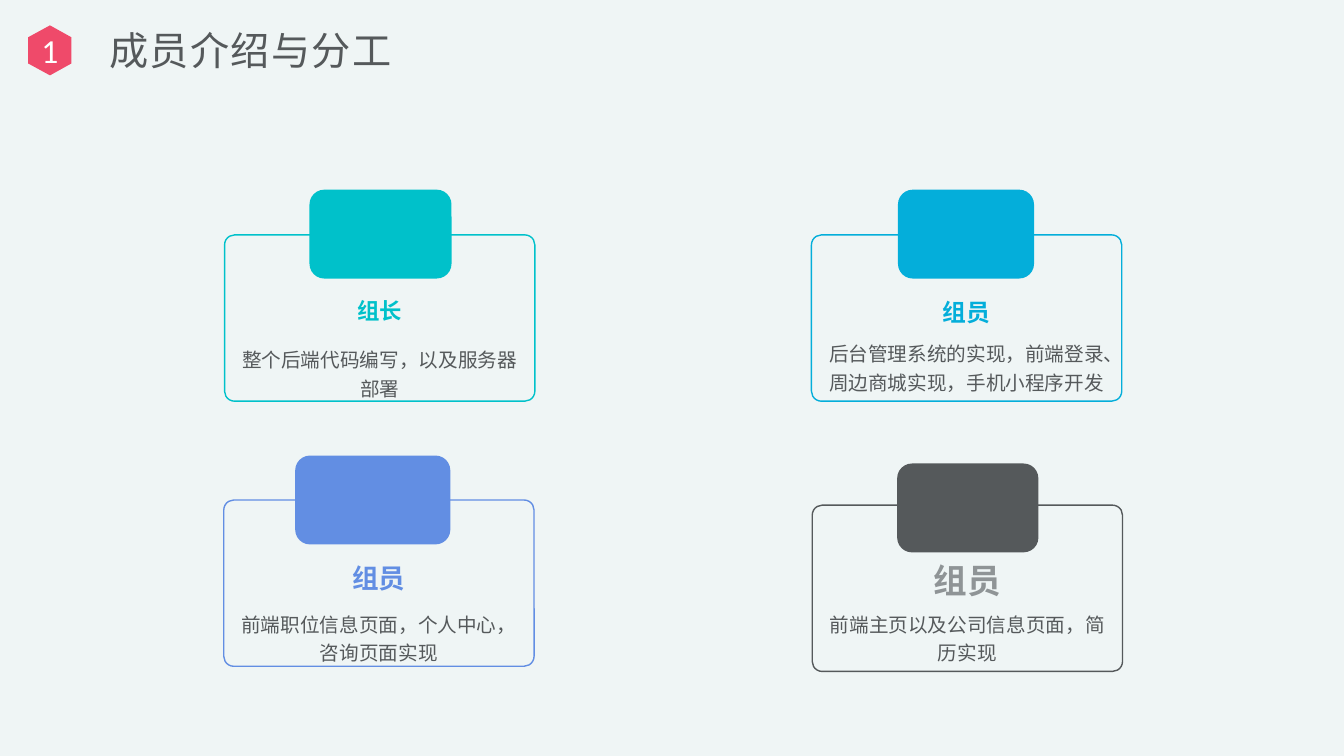
import pptx
import pptx.util
import pptx.dml.color
import pptx.enum.shapes
import pptx.enum.text
import pptx.oxml.ns
from lxml import etree

Cm = pptx.util.Cm
Pt = pptx.util.Pt
SHAPE = pptx.enum.shapes.MSO_SHAPE
ALIGN = pptx.enum.text.PP_ALIGN
ANCHOR = pptx.enum.text.MSO_ANCHOR

COLORS = {
    "page": "EFF5F5", "text": "55595B", "badge": "EF4A6A", "white": "FFFFFF",
    "teal": "00C1CA", "cyan": "04AEDA", "blue": "628EE3", "gray": "8F9496",
}
TITLE = "成员介绍与分工"
SECTION = "1"
MEMBERS = [
    {"role": "组长", "duty": "整个后端代码编写，以及服务器部署",
     "color": "teal", "role_color": "teal", "role_size": 16,
     "frame": (5.66, 5.92), "tab": (7.8, 4.78, 3.58), "role_top": 7.49, "duty_top": 8.66},
    {"role": "组员", "duty": "后台管理系统的实现，前端登录、周边商城实现，手机小程序开发",
     "color": "cyan", "role_color": "cyan", "role_size": 17,
     "frame": (20.45, 5.92), "tab": (22.63, 4.78, 3.43), "role_top": 7.49, "duty_top": 8.51},
    {"role": "组员", "duty": "前端职位信息页面，个人中心，咨询页面实现",
     "color": "blue", "role_color": "blue", "role_size": 19,
     "frame": (5.64, 12.6), "tab": (7.44, 11.48, 3.91), "role_top": 14.15, "duty_top": 15.32},
    {"role": "组员", "duty": "前端主页以及公司信息页面，简历实现",
     "color": "text", "role_color": "gray", "role_size": 24,
     "frame": (20.47, 12.73), "tab": (22.61, 11.68, 3.56), "role_top": 14.12, "duty_top": 15.32},
]
FRAME_WIDTH, FRAME_HEIGHT = 7.82, 4.19
TAB_HEIGHT = 2.24
TEXT_INSET = 0.35
TEXT_WIDTH = FRAME_WIDTH - 2 * TEXT_INSET
ROLE_HEIGHT, DUTY_HEIGHT = 0.69, 1.45
BADGE = [(1.26, 0.64), (1.8, 0.94), (1.8, 1.6), (1.26, 1.9), (0.71, 1.6), (0.71, 0.94)]


def rgb(name):
    return pptx.dml.color.RGBColor.from_string(COLORS[name])


def paint(shape, fill=None, line=None):
    shape.shadow.inherit = False
    if fill:
        shape.fill.solid()
        shape.fill.fore_color.rgb = rgb(fill)
    else:
        shape.fill.background()
    if line:
        shape.line.color.rgb = rgb(line)
        shape.line.width = Pt(1)
    else:
        shape.line.fill.background()


def write(shape, text, size, color, margins=(0, 0, 0, 0), font="Calibri",
          bold=False, align=ALIGN.CENTER, anchor=ANCHOR.TOP, spacing=None, wrap=True):
    frame = shape.text_frame
    frame.auto_size = pptx.enum.text.MSO_AUTO_SIZE.NONE
    frame.word_wrap = wrap
    frame.vertical_anchor = anchor
    frame.margin_left, frame.margin_top, frame.margin_right, frame.margin_bottom = map(Cm, margins)
    para = frame.paragraphs[0]
    para.text = text
    para.alignment = align
    para.line_spacing = spacing
    para.font.size = Pt(size)
    para.font.bold = bold
    para.font.name = font
    para.font.color.rgb = rgb(color)
    return para.runs[0]


def add_text(page, left, top, height, *words, **style):
    box = page.shapes.add_textbox(Cm(left), Cm(top), Cm(TEXT_WIDTH), Cm(height))
    write(box, *words, **style)


def add_member(page, member):
    left, top = member["frame"]
    frame = page.shapes.add_shape(SHAPE.ROUNDED_RECTANGLE, Cm(left), Cm(top),
                                  Cm(FRAME_WIDTH), Cm(FRAME_HEIGHT))
    frame.adjustments[0] = 0.06
    paint(frame, line=member["color"])
    tab_left, tab_top, tab_width = member["tab"]
    tab = page.shapes.add_shape(SHAPE.ROUNDED_RECTANGLE, Cm(tab_left), Cm(tab_top),
                                Cm(tab_width), Cm(TAB_HEIGHT))
    paint(tab, fill=member["color"])
    text_left = left + TEXT_INSET
    add_text(page, text_left, member["role_top"], ROLE_HEIGHT, member["role"],
             member["role_size"], member["role_color"], bold=True, wrap=False)
    add_text(page, text_left, member["duty_top"], DUTY_HEIGHT, member["duty"],
             14, "text", spacing=1.2)


def add_title(page):
    title = page.shapes.title
    title.left, title.top, title.width, title.height = map(Cm, (2.24, 0.51, 15.8, 1.5))
    span = write(title, TITLE, 28, "text", margins=(0.51, 0.13, 0.25, 0.13),
                 font="Noto Sans CJK SC", align=ALIGN.LEFT, anchor=ANCHOR.MIDDLE)
    properties = span.font._element
    properties.set("spc", "100")
    east_asian = etree.SubElement(properties, pptx.oxml.ns.qn("a:ea"))
    east_asian.set("typeface", "Noto Sans CJK SC")


def add_badge(page):
    points = [(Cm(x), Cm(y)) for x, y in BADGE]
    builder = page.shapes.build_freeform(*points[0])
    builder.add_line_segments(points[1:], close=True)
    badge = builder.convert_to_shape()
    paint(badge, fill="badge")
    write(badge, SECTION, 24, "white", anchor=ANCHOR.MIDDLE)


deck = pptx.Presentation()
deck.slide_width, deck.slide_height = Cm(33.87), Cm(19.05)
page = deck.slides.add_slide(deck.slide_layouts.get_by_name("Title Only"))
page.background.fill.solid()
page.background.fill.fore_color.rgb = rgb("page")
add_title(page)
add_badge(page)
for member in MEMBERS:
    add_member(page, member)
deck.save("out.pptx")
